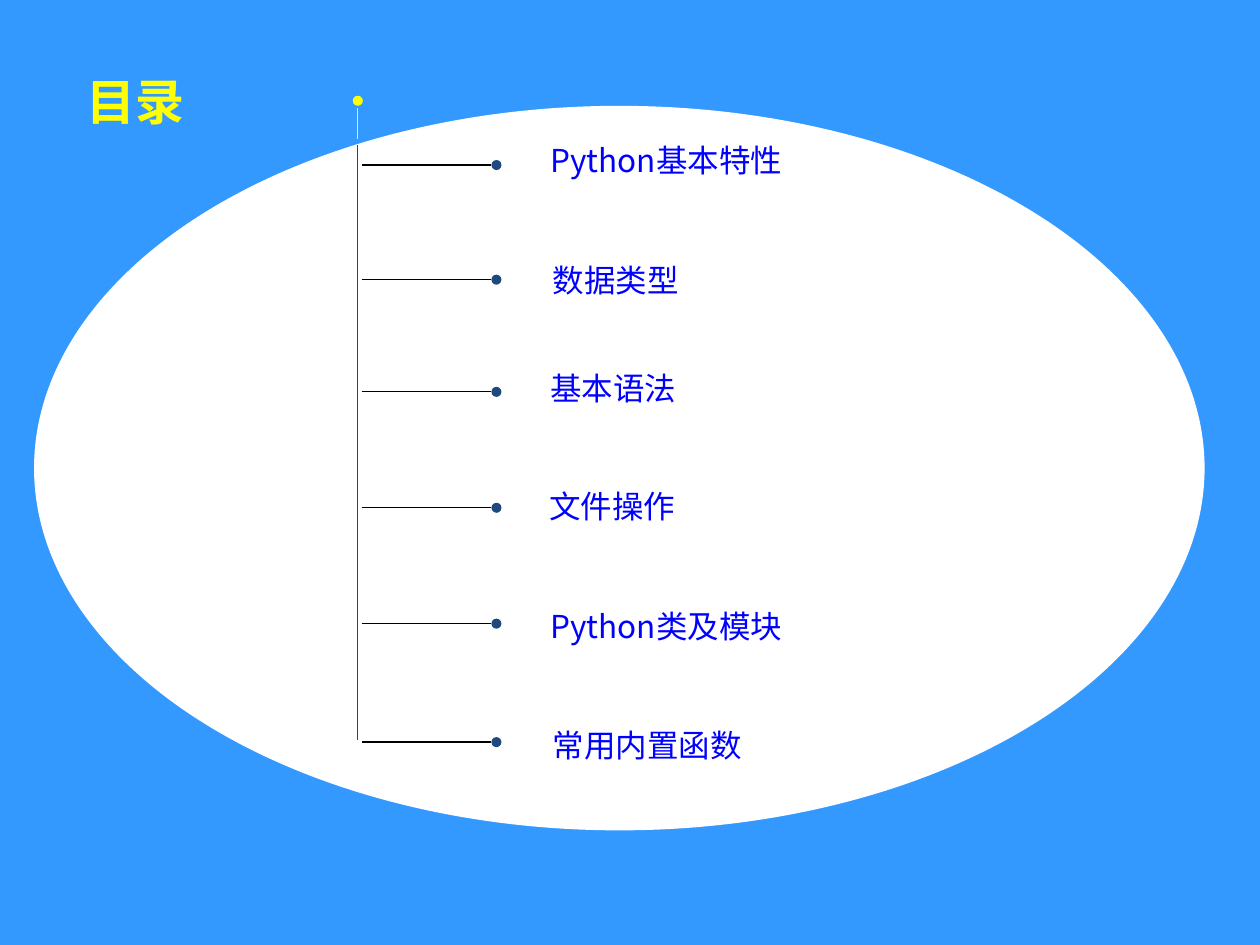
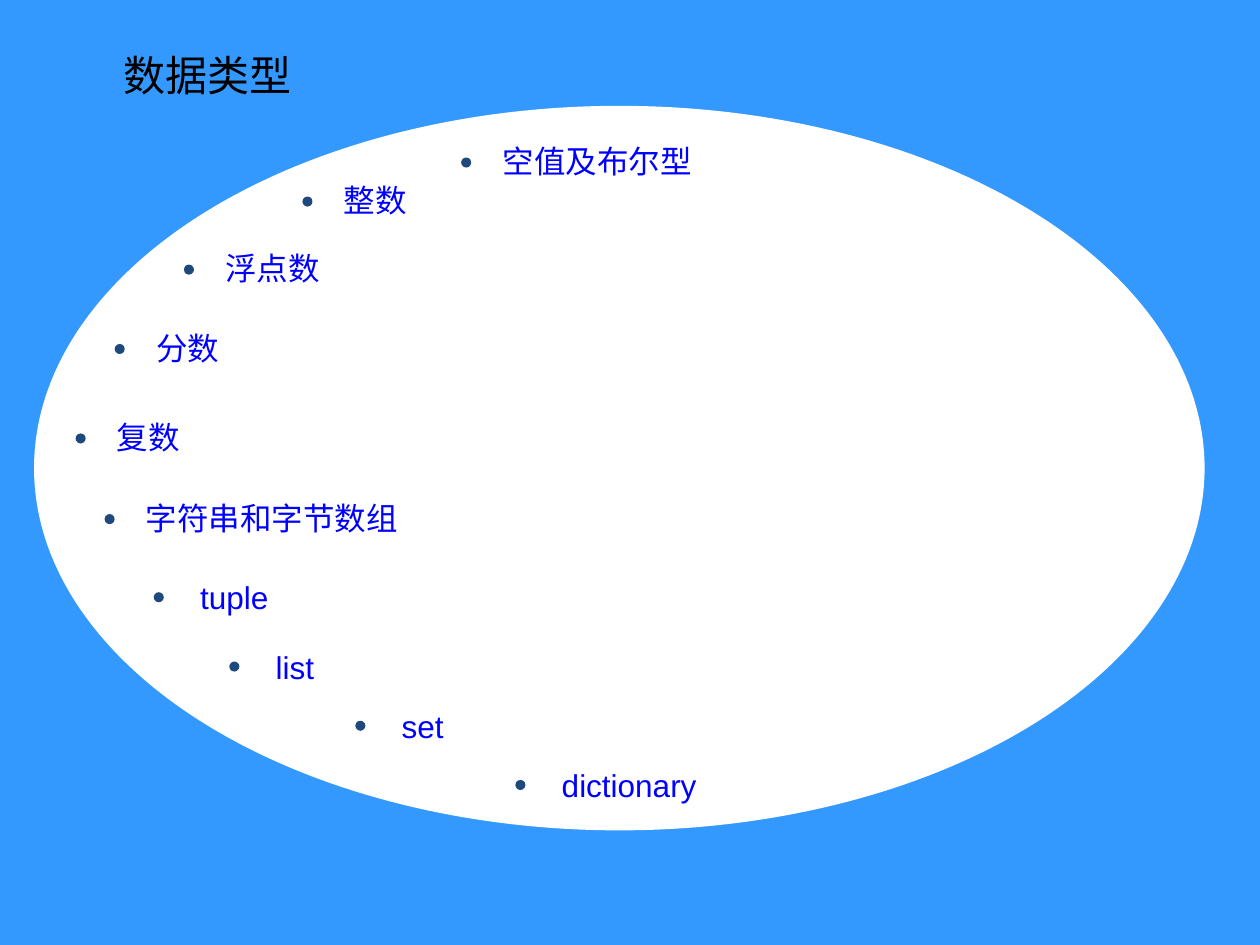
from lxml import etree
from pptx import Presentation
from pptx.dml.color import RGBColor
from pptx.enum import shapes, text
from pptx.oxml import ns
from pptx.util import Inches, Pt

HUES = {"back": "3399FF", "oval": "FFFFFF", "head": "FFFF00",
        "label": "0000FF", "dot": "1F497D", "black": "000000"}
CJK = "Noto Sans CJK SC"
DOT = 0.08
HIGH = 0.4  # label height

# text, label left, label top, label width, dot top (within the list's box)
TOPICS = [
    ("Python基本特性", 1.47, 0.31, 2.07, 0.51),
    ("数据类型", 1.49, 1.26, 1.25, 1.42),
    ("基本语法", 1.47, 2.12, 1.25, 2.31),
    ("文件操作", 1.46, 3.06, 1.25, 3.23),
    ("Python类及模块", 1.47, 4.01, 2.07, 4.15),
    ("常用内置函数", 1.49, 4.95, 1.75, 5.09),
]
# text, dot left, dot top (within the oval's box), label width
TYPES = [
    ("空值及布尔型", 3.39, 0.41, 1.75),
    ("整数", 2.13, 0.72, 0.75),
    ("浮点数", 1.19, 1.26, 1),
    ("分数", 0.64, 1.89, 0.75),
    ("复数", 0.33, 2.6, 0.75),
    ("字符串和字节数组", 0.56, 3.24, 2.25),
    ("tuple", 0.95, 3.86, 0.8),
    ("list", 1.55, 4.41, 0.6),
    ("set", 2.55, 4.88, 0.6),
    ("dictionary", 3.82, 5.35, 1.35),
]


def hue(name):
    return RGBColor.from_string(HUES[name])


def write(slide, words, box, size=18, font=CJK, color="label", bold=False,
          align=text.PP_ALIGN.LEFT, anchor=text.MSO_ANCHOR.TOP):
    frame = slide.shapes.add_textbox(*map(Inches, box)).text_frame
    frame.word_wrap = True
    frame.vertical_anchor = anchor
    para = frame.paragraphs[0]
    para.alignment = align
    run = para.add_run()
    run.text = words
    run.font.size = Pt(size)
    run.font.name = font
    run.font.bold = bold
    run.font.color.rgb = hue(color)
    # Same font for East Asian letters
    east = etree.SubElement(run.font._element, ns.qn("a:ea"))
    east.set("typeface", font)


def oval(slide, box, color):
    shape = slide.shapes.add_shape(shapes.MSO_SHAPE.OVAL, *map(Inches, box))
    shape.shadow.inherit = False
    shape.fill.solid()
    shape.fill.fore_color.rgb = hue(color)
    shape.line.fill.background()


def dot(slide, x, y, color="dot"):
    oval(slide, (x, y, DOT, DOT), color)


def line(slide, x1, y1, x2, y2, color):
    link = slide.shapes.add_connector(
        shapes.MSO_CONNECTOR.STRAIGHT, *map(Inches, (x1, y1, x2, y2)))
    link.line.width = Pt(0.75)
    link.line.color.rgb = hue(color)
    etree.SubElement(link._element.spPr, ns.qn("a:effectLst"))


def page(deck, box):
    """Blue slide with the white oval."""
    slide = deck.slides.add_slide(deck.slide_layouts[6])
    slide.background.fill.solid()
    slide.background.fill.fore_color.rgb = hue("back")
    oval(slide, box, "oval")
    return slide


def tree(slide, x, y):
    """Contents list hanging from a vertical stem."""
    mid = x + DOT / 2
    dot(slide, x, y, "head")
    line(slide, mid, y + 0.1, mid, y + 0.34, "head")
    line(slide, mid, y + 0.39, mid, y + 5.11, "dot")
    for words, left, top, wide, drop in TOPICS:
        level = y + drop + DOT / 2
        line(slide, x + 0.07, level, x + 1.1, level, "black")
        dot(slide, x + 1.1, y + drop)
        write(slide, words, (x + left, y + top, wide, HIGH))


def arc(slide, x, y):
    """Data types along the left rim of the oval."""
    for words, left, top, wide in TYPES:
        dx, dy = (0.27, -0.16) if words.isascii() else (0.23, -0.17)
        dot(slide, x + left, y + top)
        write(slide, words, (x + left + dx, y + top + dy, wide, HIGH),
              font="Arial")


def main():
    deck = Presentation()
    deck.slide_width, deck.slide_height = Inches(10), Inches(7.5)
    rim = (0.27, 0.84, 9.29, 5.75)

    # Contents
    slide = page(deck, rim)
    write(slide, "目录", (0.59, 0.52, 3.2, 0.57), size=28, color="head",
          bold=True)
    tree(slide, 2.8, 0.76)

    # Data types
    slide = page(deck, rim)
    write(slide, "数据类型", (0.51, 0.28, 2.28, 0.63), size=24, font="Calibri",
          color="black", align=text.PP_ALIGN.CENTER,
          anchor=text.MSO_ANCHOR.MIDDLE)
    arc(slide, *rim[:2])

    deck.save("out.pptx")


if __name__ == "__main__":
    main()
